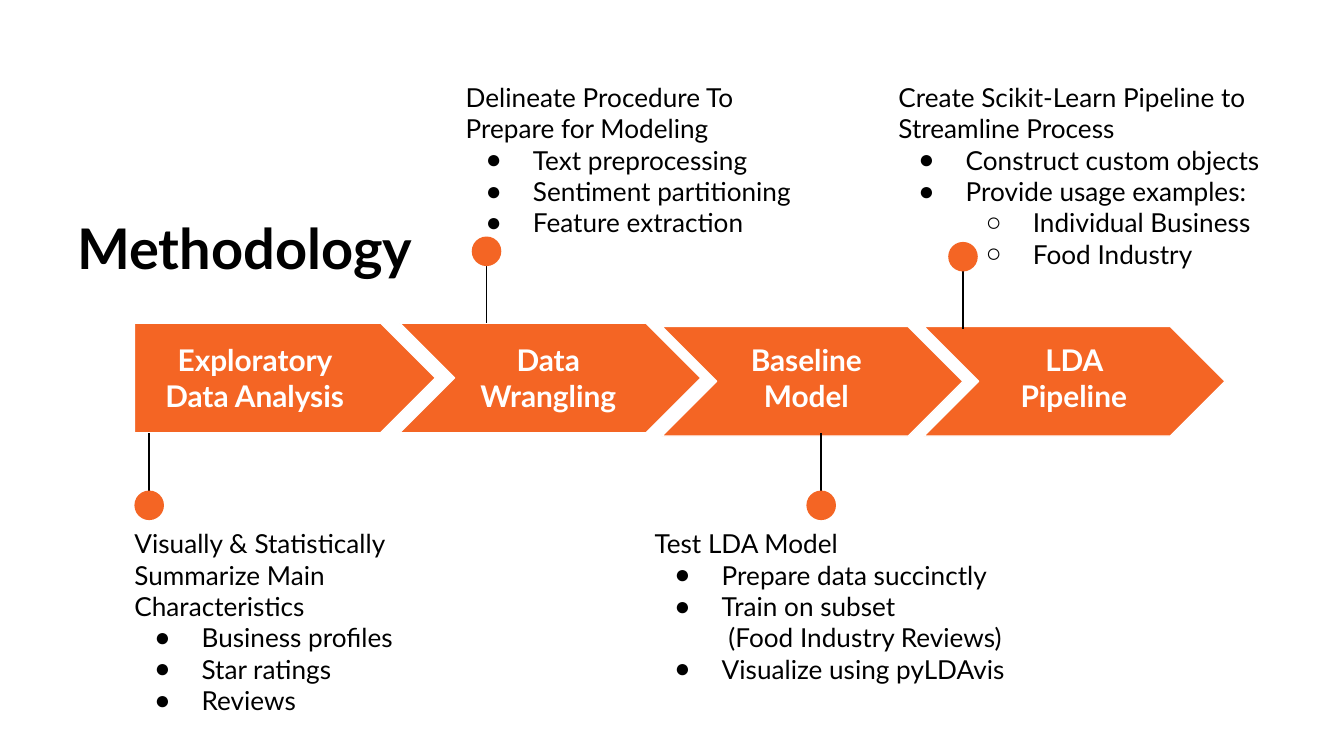
from lxml import etree
from pptx import Presentation
from pptx.dml.color import RGBColor
from pptx.enum.shapes import MSO_CONNECTOR, MSO_SHAPE
from pptx.enum.text import MSO_ANCHOR, MSO_AUTO_SIZE, PP_ALIGN
from pptx.oxml.ns import qn
from pptx.util import Emu, Pt

EMU_PER_PX = 4572
COMPARISON_LAYOUT = 4
FONT = "Lato"
ORANGE, WHITE, BLACK = "F46524", "FFFFFF", "000000"
PENTAGON, CHEVRON, OVAL = MSO_SHAPE.PENTAGON, MSO_SHAPE.CHEVRON, MSO_SHAPE.OVAL
STRAIGHT = MSO_CONNECTOR.STRAIGHT
TOP, MIDDLE = MSO_ANCHOR.TOP, MSO_ANCHOR.MIDDLE
LEFT, CENTER = PP_ALIGN.LEFT, PP_ALIGN.CENTER
NO_FIT = MSO_AUTO_SIZE.NONE

DOT = 44
DOT_OVERLAP = 36
STEP_SIZE = (448, 163)
STYLES = {
    "head": (0, 0, None),
    "item": (100, -70, "●"),
    "more": (100, 0, None),
    "sub": (200, -70, "○"),
}
STEPS = [
    (PENTAGON, 200, 481, "Exploratory Data Analysis", 220, 318),
    (CHEVRON, 595, 481, "Data Wrangling", 672, 288),
    (CHEVRON, 985, 486, "Baseline Model", 1056, 288),
    (CHEVRON, 1375, 486, "LDA Pipeline", 1454, 288),
]
PINS = [(222, 766, 644), (724, 360, 480), (1222, 766, 644), (1433, 368, 490)]
NOTES = [
    ((180, 765, 490, 198), [
        ("head", "Visually & Statistically Summarize Main Characteristics"),
        ("item", "Business profiles"),
        ("item", "Star ratings"),
        ("item", "Reviews"),
    ]),
    ((673, 101, 528, 198), [
        ("head", "Delineate Procedure To Prepare for Modeling"),
        ("item", "Text preprocessing"),
        ("item", "Sentiment partitioning"),
        ("item", "Feature extraction"),
    ]),
    ((954, 765, 570, 198), [
        ("head", "Test LDA Model"),
        ("item", "Prepare data succinctly"),
        ("item", "Train on subset"),
        ("more", " (Food Industry Reviews)"),
        ("item", "Visualize using pyLDAvis"),
    ]),
    ((1317, 101, 622, 198), [
        ("head", "Create Scikit-Learn Pipeline to Streamline Process"),
        ("item", "Construct custom objects"),
        ("item", "Provide usage examples:"),
        ("sub", "Individual Business"),
        ("sub", "Food Industry"),
    ]),
]


def px(length):
    """Turn px into EMU."""
    return Emu(length * EMU_PER_PX)


def color(value):
    """Turn a hex string into a colour."""
    return RGBColor.from_string(value)


def place(box, left, top, width, height):
    """Move and size a box."""
    box.left, box.top = px(left), px(top)
    box.width, box.height = px(width), px(height)


def prepare_frame(box, anchor):
    """Set wrapping, anchor and margins, and return the text frame."""
    frame = box.text_frame
    frame.word_wrap = True
    frame.auto_size = NO_FIT
    frame.vertical_anchor = anchor
    frame.margin_left = frame.margin_right = px(20)
    frame.margin_top = frame.margin_bottom = px(20)
    return frame


def add_span(para, text, size, ink, bold=False):
    """Add one formatted run."""
    span = para.add_run()
    span.text = text
    span.font.name = FONT
    span.font.size = Pt(size)
    span.font.bold = bold
    span.font.color.rgb = color(ink)


def set_bullet(para, margin, indent, mark):
    """Set the indents and the bullet of a paragraph."""
    properties = para._p.get_or_add_pPr()
    properties.set("marL", str(px(margin)))
    properties.set("indent", str(px(indent)))
    if mark is None:
        etree.SubElement(properties, qn("a:buNone"))
        return
    tint = etree.SubElement(properties, qn("a:buClr"))
    etree.SubElement(tint, qn("a:srgbClr"), val=BLACK)
    etree.SubElement(properties, qn("a:buChar"), char=mark)


def fill_title(box):
    """Place and write the slide title."""
    place(box, 95, 283, 570, 198)
    para = prepare_frame(box, TOP).paragraphs[0]
    para.alignment = LEFT
    para.line_spacing = 1.15
    para.space_after = Pt(16)
    add_span(para, "Methodology", 30, BLACK, bold=True)


def fill_note(box, bounds, lines):
    """Place a note and write its heading and list."""
    place(box, *bounds)
    frame = prepare_frame(box, TOP)
    for number, (style, text) in enumerate(lines):
        para = frame.add_paragraph() if number else frame.paragraphs[0]
        para.level = 1 if style == "sub" else 0
        para.alignment = LEFT
        para.line_spacing = 1.0
        para.space_before = Pt(0)
        set_bullet(para, *STYLES[style])
        add_span(para, text, 14, BLACK)


def add_solid(slide, kind, left, top, width, height):
    """Add an orange shape without outline."""
    shape = slide.shapes.add_shape(kind, px(left), px(top), px(width), px(height))
    shape.shadow.inherit = False
    shape.fill.solid()
    shape.fill.fore_color.rgb = color(ORANGE)
    shape.line.fill.background()
    return shape


def add_step(slide, kind, left, top, text, label_left, label_width):
    """Add one arrow of the process with its label."""
    arrow = add_solid(slide, kind, left, top, *STEP_SIZE)
    arrow.line.color.rgb = color(WHITE)
    arrow.line.width = Pt(0.75)
    label = slide.shapes.add_textbox(px(label_left), px(511), px(label_width), px(102))
    para = prepare_frame(label, MIDDLE).paragraphs[0]
    para.alignment = CENTER
    add_span(para, text, 16, WHITE, bold=True)


def add_pin(slide, center, start, end):
    """Add a line from a dot to a step, with the dot over its start."""
    line = slide.shapes.add_connector(
        STRAIGHT, px(center), px(start), px(center), px(end))
    line.line.color.rgb = color(BLACK)
    line.line.width = Pt(0.75)
    etree.SubElement(line._element.spPr, qn("a:effectLst"))
    dot_top = start - DOT_OVERLAP if start > end else start + DOT_OVERLAP - DOT
    add_solid(slide, OVAL, center - DOT // 2, dot_top, DOT, DOT)


def main():
    """Build and save the slide."""
    deck = Presentation()
    deck.slide_width, deck.slide_height = px(2000), px(1125)
    slide = deck.slides.add_slide(deck.slide_layouts[COMPARISON_LAYOUT])
    title, *bodies = slide.placeholders
    fill_title(title)
    for body, (bounds, lines) in zip(bodies, NOTES):
        fill_note(body, bounds, lines)
    for step in STEPS:
        add_step(slide, *step)
    for pin in PINS:
        add_pin(slide, *pin)
    deck.save("out.pptx")


if __name__ == "__main__":
    main()
